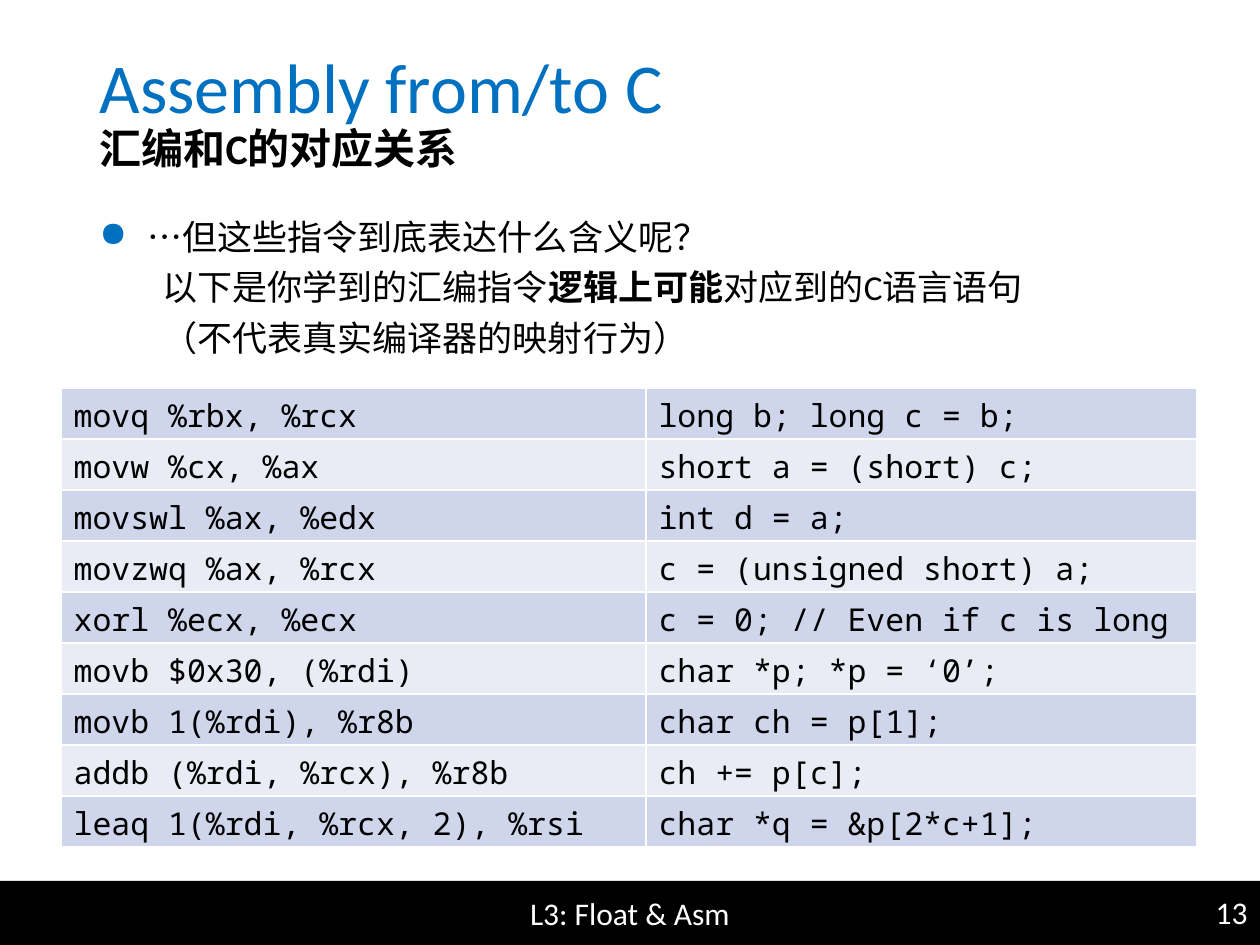
from lxml.etree import SubElement
from pptx import Presentation
from pptx.dml.color import RGBColor
from pptx.enum.lang import MSO_LANGUAGE_ID
from pptx.enum.shapes import MSO_SHAPE
from pptx.enum.text import MSO_ANCHOR, PP_ALIGN
from pptx.oxml.ns import qn
from pptx.util import Pt

PX = 914400 / 126
BLACK = RGBColor(0x00, 0x00, 0x00)
WHITE = RGBColor(0xFF, 0xFF, 0xFF)
BLUE = RGBColor(0x00, 0x70, 0xC0)
BANDS = RGBColor(0xCF, 0xD5, 0xEA), RGBColor(0xE9, 0xEB, 0xF5)

TITLE = "Assembly from/to C"
SUBTITLE = "汇编和C的对应关系"
FOOTER = "L3: Float & Asm"
PAGE = "13"
# Each paragraph is a list of (text, bold)
BODY = [
    [("…但这些指令到底表达什么含义呢？", False)],
    [("以下是你学到的汇编指令", False), ("逻辑上可能", True),
     ("对应到的C语言语句", False)],
    [("（不代表真实编译器的映射行为）", False)],
]
INSTRUCTIONS = [
    ("movq %rbx, %rcx", "long b; long c = b;"),
    ("movw %cx, %ax", "short a = (short) c;"),
    ("movswl %ax, %edx", "int d = a;"),
    ("movzwq %ax, %rcx", "c = (unsigned short) a;"),
    ("xorl %ecx, %ecx", "c = 0; // Even if c is long"),
    ("movb $0x30, (%rdi)", "char *p; *p = ‘0’;"),
    ("movb 1(%rdi), %r8b", "char ch = p[1];"),
    ("addb (%rdi, %rcx), %r8b", "ch += p[c];"),
    ("leaq 1(%rdi, %rcx, 2), %rsi", "char *q = &p[2*c+1];"),
]
COLUMNS = 585, 551
ROW_HEIGHT = 51


def px(*values):
    return [round(v * PX) for v in values]


def add_run(p, text, size, color=BLACK, bold=False, name="Calibri", chinese=False):
    r = p.add_run()
    r.text = text
    formats = {"size": Pt(size), "bold": bold, "name": name}
    if chinese:
        formats["language_id"] = MSO_LANGUAGE_ID.SIMPLIFIED_CHINESE
    for key, value in formats.items():
        setattr(r.font, key, value)
    r.font.color.rgb = color


def set_indent(p, left, first, bullet=None):
    pPr = p._p.get_or_add_pPr()
    left, first = px(left, first)
    pPr.set("marL", str(left))
    pPr.set("indent", str(first))
    if bullet:
        color = SubElement(SubElement(pPr, qn("a:buClr")), qn("a:srgbClr"))
        color.set("val", str(BLUE))
        SubElement(pPr, qn("a:buChar")).set("char", bullet)


def add_footer(s):
    bar = s.shapes.add_shape(MSO_SHAPE.RECTANGLE, *px(0, 881, 1260, 64))
    bar.shadow.inherit = False
    bar.fill.solid()
    bar.fill.fore_color.rgb = BLACK
    bar.line.fill.background()
    number = s.shapes.add_textbox(*px(976, 887, 284, 50))
    for sp, text, align in ((bar, FOOTER, PP_ALIGN.CENTER),
                            (number, PAGE, PP_ALIGN.RIGHT)):
        tf = sp.text_frame
        tf.word_wrap = True
        tf.vertical_anchor = MSO_ANCHOR.MIDDLE
        p = tf.paragraphs[0]
        p.alignment = align
        add_run(p, text, 18, WHITE)


def format_title(sp):
    sp.left, sp.top, sp.width, sp.height = px(87, -9, 1086, 189)
    tf = sp.text_frame
    tf.vertical_anchor = MSO_ANCHOR.BOTTOM
    add_run(tf.paragraphs[0], TITLE, 40, BLUE)
    add_run(tf.add_paragraph(), SUBTITLE, 24, bold=True, chinese=True)
    for p in tf.paragraphs:
        p.alignment = PP_ALIGN.LEFT
        p.line_spacing = 0.9


def add_body(s):
    tf = s.shapes.add_textbox(*px(87, 209, 1111, 158)).text_frame
    tf.word_wrap = True
    for i, runs in enumerate(BODY):
        p = tf.add_paragraph() if i else tf.paragraphs[0]
        p.space_after = Pt(5)
        if i:
            p.level = 1
            set_indent(p, 63, 0)
        else:
            set_indent(p, 48, -48, "●")
        for text, bold in runs:
            add_run(p, text, 20, bold=bold, chinese=True)


def add_instructions(s):
    rows = len(INSTRUCTIONS)
    frame = s.shapes.add_table(rows, len(COLUMNS),
                               *px(61, 388, sum(COLUMNS), rows * ROW_HEIGHT))
    table = frame.table
    table.first_row = False
    for column, width in zip(table.columns, px(*COLUMNS)):
        column.width = width
    for i, (row, texts) in enumerate(zip(table.rows, INSTRUCTIONS)):
        for cell, text in zip(row.cells, texts):
            cell.fill.solid()
            cell.fill.fore_color.rgb = BANDS[i % 2]
            add_run(cell.text_frame.paragraphs[0], text, 18, name="Noto Sans Mono")


def main():
    prs = Presentation()
    prs.slide_width, prs.slide_height = px(1260, 945)
    s = prs.slides.add_slide(prs.slide_layouts[5])
    add_footer(s)
    format_title(s.shapes.title)
    add_body(s)
    add_instructions(s)
    prs.save("out.pptx")


if __name__ == "__main__":
    main()
